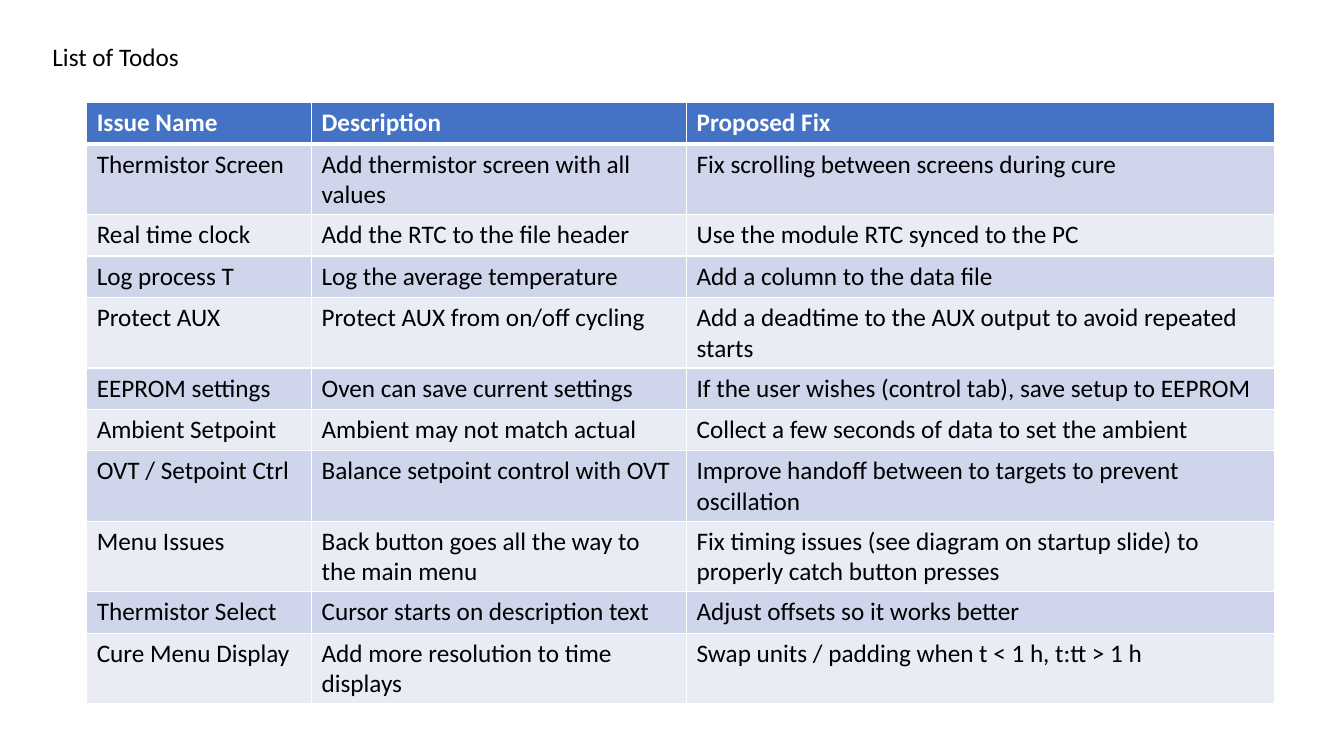
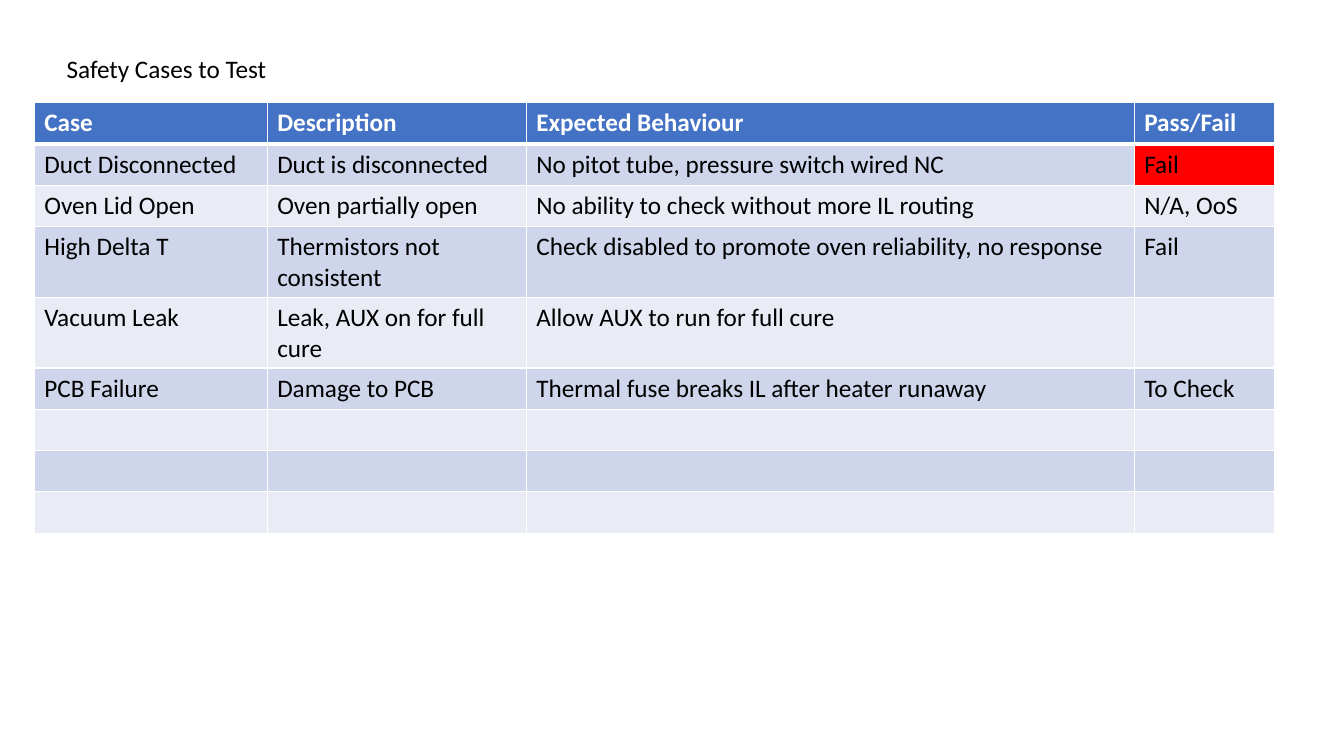
"""Build two slides of tables: open todos and safety cases to test."""
from dataclasses import dataclass, field

from lxml import etree
from pptx import Presentation
from pptx.dml.color import RGBColor
from pptx.enum.text import MSO_ANCHOR, MSO_AUTO_SIZE, PP_ALIGN
from pptx.oxml.ns import qn
from pptx.util import Inches, Pt

TOP = MSO_ANCHOR.TOP
LEFT = PP_ALIGN.LEFT
FIT_SHAPE = MSO_AUTO_SIZE.SHAPE_TO_FIT_TEXT

WHITE = RGBColor(0xFF, 0xFF, 0xFF)
BLACK = RGBColor(0x00, 0x00, 0x00)
HEADER_BLUE = RGBColor(0x44, 0x72, 0xC4)
BANDS = (RGBColor(0xCF, 0xD5, 0xEA), RGBColor(0xE9, 0xEB, 0xF5))
FAIL_RED = RGBColor(0xFF, 0x00, 0x00)

FONT_NAME = "Calibri"
FONT_SIZE = Pt(18)
TITLE_WIDTH, TITLE_HEIGHT = Inches(2.52), Inches(0.4)
TABLE_TOP = Inches(1.02)
ROW_HEIGHT = Inches(0.41)
THIN, THICK = Pt(1), Pt(3)
TITLE_ONLY = 5


@dataclass(frozen=True)
class TableSlide:
    """Content and placement of one titled table; fills are keyed by row and column."""

    title: str
    title_left: float
    title_top: float
    table_left: float
    column_widths: tuple[float, ...]
    rows: tuple[tuple[str, ...], ...]
    special_fills: dict[tuple[int, int], RGBColor] = field(default_factory=dict)


TODOS = TableSlide(
    title="List of Todos",
    title_left=0.42,
    title_top=0.36,
    table_left=0.86,
    column_widths=(2.23, 3.72, 5.83),
    rows=(
        ("Issue Name", "Description", "Proposed Fix"),
        ("Thermistor Screen", "Add thermistor screen with all values",
         "Fix scrolling between screens during cure"),
        ("Real time clock", "Add the RTC to the file header",
         "Use the module RTC synced to the PC"),
        ("Log process T", "Log the average temperature", "Add a column to the data file"),
        ("Protect AUX", "Protect AUX from on/off cycling",
         "Add a deadtime to the AUX output to avoid repeated starts"),
        ("EEPROM settings", "Oven can save current settings",
         "If the user wishes (control tab), save setup to EEPROM"),
        ("Ambient Setpoint", "Ambient may not match actual",
         "Collect a few seconds of data to set the ambient"),
        ("OVT / Setpoint Ctrl", "Balance setpoint control with OVT",
         "Improve handoff between to targets to prevent oscillation"),
        ("Menu Issues", "Back button goes all the way to the main menu",
         "Fix timing issues (see diagram on startup slide) to properly catch button presses"),
        ("Thermistor Select", "Cursor starts on description text",
         "Adjust offsets so it works better"),
        ("Cure Menu Display", "Add more resolution to time displays",
         "Swap units / padding when t < 1 h, t:tt > 1 h"),
    ),
)

SAFETY_CASES = TableSlide(
    title="Safety Cases to Test",
    title_left=0.56,
    title_top=0.48,
    table_left=0.34,
    column_widths=(2.31, 2.57, 6.03, 1.39),
    rows=(
        ("Case", "Description", "Expected Behaviour", "Pass/Fail"),
        ("Duct Disconnected", "Duct is disconnected",
         "No pitot tube, pressure switch wired NC", "Fail"),
        ("Oven Lid Open", "Oven partially open",
         "No ability to check without more IL routing", "N/A, OoS"),
        ("High Delta T", "Thermistors not consistent",
         "Check disabled to promote oven reliability, no response", "Fail"),
        ("Vacuum Leak", "Leak, AUX on for full cure", "Allow AUX to run for full cure", ""),
        ("PCB Failure", "Damage to PCB",
         "Thermal fuse breaks IL after heater runaway", "To Check"),
        *(("",) * 4,) * 3,
    ),
    special_fills={(1, 3): FAIL_RED},
)


def format_paragraph(paragraph, color: RGBColor, bold: bool = False) -> None:
    """Apply the shared text style to a paragraph."""
    paragraph.alignment = LEFT
    paragraph.font.name = FONT_NAME
    paragraph.font.size = FONT_SIZE
    paragraph.font.bold = bold
    paragraph.font.color.rgb = color


def set_borders(cell, row_index: int) -> None:
    """Draw white cell borders, thick between header and body."""
    widths = {
        "a:lnL": THIN,
        "a:lnR": THIN,
        "a:lnT": THICK if row_index == 1 else THIN,
        "a:lnB": THICK if row_index == 0 else THIN,
    }
    properties = cell._tc.get_or_add_tcPr()
    for position, (tag, width) in enumerate(widths.items()):
        line = etree.Element(qn(tag), w=str(int(width)))
        fill = etree.SubElement(line, qn("a:solidFill"))
        etree.SubElement(fill, qn("a:srgbClr"), val=str(WHITE))
        properties.insert(position, line)


def add_title(slide, content: TableSlide) -> None:
    """Place and format the slide's title placeholder."""
    title = slide.shapes.title
    title.left, title.top = Inches(content.title_left), Inches(content.title_top)
    title.width, title.height = TITLE_WIDTH, TITLE_HEIGHT
    frame = title.text_frame
    frame.text = content.title
    frame.word_wrap = True
    frame.auto_size = FIT_SHAPE
    frame.vertical_anchor = TOP
    format_paragraph(frame.paragraphs[0], BLACK)


def add_table(slide, content: TableSlide) -> None:
    """Draw the banded table with its header row."""
    row_count = len(content.rows)
    table = slide.shapes.add_table(
        row_count, len(content.column_widths), Inches(content.table_left), TABLE_TOP,
        Inches(sum(content.column_widths)), ROW_HEIGHT * row_count,
    ).table
    for column, width in zip(table.columns, content.column_widths):
        column.width = Inches(width)
    for row_index, texts in enumerate(content.rows):
        table.rows[row_index].height = ROW_HEIGHT
        is_header = row_index == 0
        row_fill = HEADER_BLUE if is_header else BANDS[(row_index - 1) % 2]
        for column_index, text in enumerate(texts):
            cell = table.cell(row_index, column_index)
            cell.text = text
            cell.fill.solid()
            cell.fill.fore_color.rgb = content.special_fills.get(
                (row_index, column_index), row_fill)
            format_paragraph(
                cell.text_frame.paragraphs[0], WHITE if is_header else BLACK, is_header)
            set_borders(cell, row_index)


def main() -> None:
    """Build and save the presentation."""
    presentation = Presentation()
    presentation.slide_width, presentation.slide_height = Inches(13.33), Inches(7.5)
    for content in (TODOS, SAFETY_CASES):
        slide = presentation.slides.add_slide(presentation.slide_layouts[TITLE_ONLY])
        add_title(slide, content)
        add_table(slide, content)
    presentation.save("out.pptx")


if __name__ == "__main__":
    main()
